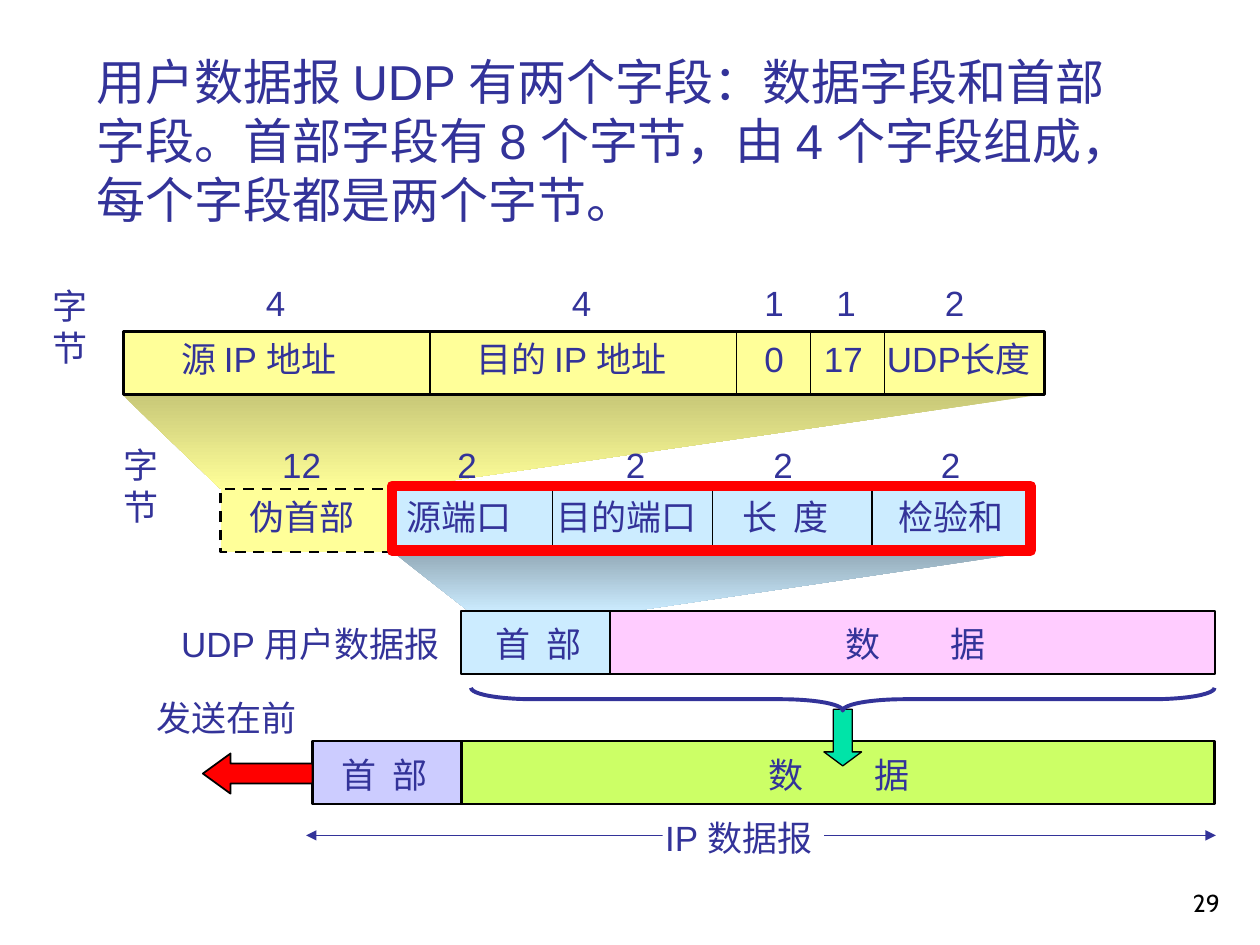
"""Build the slide on the UDP datagram, its header fields and its IP encapsulation."""
from dataclasses import dataclass

from lxml import etree
from pptx import Presentation
from pptx.dml.color import RGBColor
from pptx.enum import dml, shapes, text
from pptx.oxml import ns
from pptx.util import Cm, Pt


@dataclass(frozen=True)
class Theme:
    ink: str = "333399"
    outline: str = "000000"
    paper: str = "FFFFFF"
    pseudo: str = "FFFF99"
    pseudo_dark: str = "C8C878"
    header: str = "CCECFF"
    header_dark: str = "93AAB8"
    udp_data: str = "FFCCFF"
    ip_header: str = "CCCCFF"
    ip_data: str = "CCFF66"
    alert: str = "FF0000"
    down: str = "00E4A8"
    font: str = "Arial"
    number_font: str = "Cabin"
    title_size: int = 28
    label_size: int = 20
    number_size: int = 14


theme = Theme()


def paint(shape, fill=None, line=None, width=1.0):
    shape.shadow.inherit = False
    if fill:
        shape.fill.solid()
        shape.fill.fore_color.rgb = RGBColor.from_string(fill)
    else:
        shape.fill.background()
    if line:
        shape.line.color.rgb = RGBColor.from_string(line)
        shape.line.width = Pt(width)
    else:
        shape.line.fill.background()


def write(frame, words, size, color=theme.ink, font=theme.font, tab=None):
    frame.text = words
    paragraph = frame.paragraphs[0]
    if tab:
        properties = paragraph._p.get_or_add_pPr()
        tabs = etree.SubElement(properties, ns.qn("a:tabLst"))
        etree.SubElement(tabs, ns.qn("a:tab"), pos=str(Cm(tab)), algn="l")
    for run in paragraph.runs:
        run.font.size = Pt(size)
        run.font.name = font
        run.font.color.rgb = RGBColor.from_string(color)
    return paragraph


prs = Presentation()
prs.slide_width, prs.slide_height = Cm(25.4), Cm(19.05)
slide = prs.slides.add_slide(prs.slide_layouts[5])
canvas = slide.shapes

title = canvas.title
title.left, title.top, title.width, title.height = Cm(1.7), Cm(0.91), Cm(21.67), Cm(3.81)
title.text_frame.word_wrap = True
title.text_frame.auto_size = text.MSO_AUTO_SIZE.NONE
title.text_frame.vertical_anchor = text.MSO_ANCHOR.TOP
heading = write(
    title.text_frame,
    "用户数据报 UDP 有两个字段：数据字段和首部字段。首部字段有 8 个字节，由 4 个字段组成，每个字段都是两个字节。",
    theme.title_size,
)
heading.alignment = text.PP_ALIGN.LEFT

row_height = 1.27
pseudo_left, pseudo_top, pseudo_widths = 2.49, 6.68, [6.18, 6.18, 1.49, 1.49, 3.23]
fields_left, fields_top, field_width = 7.92, 9.86, 3.22
fields_bottom = fields_top + row_height
udp_top, ip_top, right_edge = 12.32, 14.94, 24.49

fans = [
    ([(2.46, 7.95), (21.03, 7.95), (7.92, 9.86), (4.45, 9.86)],
     theme.pseudo_dark, theme.pseudo),
    ([(7.92, 11.13), (20.78, 11.13), (12.62, 12.34), (9.45, 12.32)],
     theme.header_dark, theme.header),
]
for corners, dark, light in fans:
    points = [(Cm(x), Cm(y)) for x, y in corners]
    outline = canvas.build_freeform(*points[0])
    outline.add_line_segments(points[1:], close=True)
    fan = outline.convert_to_shape()
    paint(fan)
    fan.fill.gradient()
    fan.fill.gradient_angle = 270
    for stop, color in zip(fan.fill.gradient_stops, (dark, light)):
        stop.color.rgb = RGBColor.from_string(color)

outline = canvas.build_freeform(Cm(fields_left), Cm(fields_bottom))
outline.add_line_segments(
    [(Cm(4.45), Cm(fields_bottom)), (Cm(4.45), Cm(fields_top)), (Cm(fields_left), Cm(fields_top))],
    close=False,
)
pseudo_header = outline.convert_to_shape()
paint(pseudo_header, theme.pseudo, theme.outline, 1.5)
pseudo_header.line.dash_style = dml.MSO_LINE.DASH

bars = [
    (6.3, ip_top, 3, theme.ip_header, 1.5),
    (9.3, ip_top, right_edge - 9.3, theme.ip_data, 1.5),
    (9.3, udp_top, 3, theme.header, 1),
    (12.3, udp_top, right_edge - 12.3, theme.udp_data, 1),
    (fields_left, fields_top, 4 * field_width, theme.header, 1.5),
    (pseudo_left, pseudo_top, sum(pseudo_widths), theme.pseudo, 1.5),
]
for left, top, width, fill, weight in bars:
    bar = canvas.add_shape(
        shapes.MSO_SHAPE.RECTANGLE, Cm(left), Cm(top), Cm(width), Cm(row_height))
    paint(bar, fill, theme.outline, weight)

pseudo_cuts = [pseudo_left + sum(pseudo_widths[:n]) for n in range(1, 5)]
field_cuts = [fields_left + n * field_width for n in range(1, 4)]
rules = [(x, pseudo_top, x, pseudo_top + row_height, theme.outline) for x in pseudo_cuts]
rules += [(x, fields_top, x, fields_bottom, theme.outline) for x in field_cuts]
rules.append((6.17, 16.84, 24.51, 16.84, theme.ink))
for x1, y1, x2, y2, color in rules:
    rule = canvas.add_connector(
        shapes.MSO_CONNECTOR.STRAIGHT, Cm(x1), Cm(y1), Cm(x2), Cm(y2))
    rule.line.color.rgb = RGBColor.from_string(color)
    rule.line.width = Pt(0.75)
    if y1 == y2:
        for end in ("a:headEnd", "a:tailEnd"):
            etree.SubElement(rule.line._get_or_add_ln(), ns.qn(end), type="triangle")
    etree.SubElement(rule._element.spPr, ns.qn("a:effectLst"))

gap = canvas.add_shape(shapes.MSO_SHAPE.RECTANGLE, Cm(13.36), Cm(16.41), Cm(3.25), Cm(0.81))
paint(gap, theme.paper)

label_rows = [
    (5.61, [("字节", 0.81, 1.9)]),
    (5.56, [("4", 5.11, 0.89), ("4", 11.28, 0.89), ("1", 15.16, 0.89),
            ("1", 16.61, 0.89), ("2", 18.8, 0.89)]),
    (6.68, [("源 IP 地址", 3.4, 3.99), ("目的 IP 地址", 9.35, 4.7), ("0", 15.16, 0.89),
            ("17", 16.36, 1.3), ("UDP长度", 17.63, 3.58)]),
    (8.81, [("字节", 2.24, 1.9), ("12", 5.44, 1.3), ("2", 8.97, 0.89),
            ("2", 12.37, 0.89), ("2", 15.34, 0.89), ("2", 18.72, 0.89)]),
    (9.86, [("伪首部", 4.78, 2.62), ("源端口", 7.95, 2.62), ("目的端口", 10.97, 3.33),
            ("长\t度", 14.71, 2.24, 1.03), ("检验和", 17.86, 2.62)]),
    (12.42, [("UDP 用户数据报", 3.4, 5.89), ("首\t部", 9.73, 2.24, 1.03),
             ("数\t据", 16.79, 3.35, 2.13)]),
    (13.92, [("发送在前", 2.9, 3.33)]),
    (15.06, [("首\t部", 6.63, 2.24, 1.03), ("数\t据", 15.24, 3.35, 2.13)]),
    (16.33, [("IP 数据报", 13.16, 3.66)]),
]
for top, labels in label_rows:
    for words, left, width, *tab in labels:
        label = canvas.add_textbox(Cm(left), Cm(top), Cm(width), Cm(1.12))
        label.text_frame.word_wrap = False
        write(label.text_frame, words, theme.label_size, tab=tab[0] if tab else None)

send_arrow = canvas.add_shape(
    shapes.MSO_SHAPE.LEFT_ARROW, Cm(4.09), Cm(15.19), Cm(2.21), Cm(0.81))
send_arrow.adjustments[1] = 0.69
paint(send_arrow, theme.alert, theme.outline, 1)

wrap_arrow = canvas.add_shape(
    shapes.MSO_SHAPE.DOWN_ARROW, Cm(16.61), Cm(14.3), Cm(0.76), Cm(1.14))
wrap_arrow.adjustments[1] = 0.37
paint(wrap_arrow, theme.down, theme.outline, 0.75)

brace = canvas.add_shape(shapes.MSO_SHAPE.LEFT_BRACE, Cm(16.76), Cm(6.6), Cm(0.46), Cm(14.99))
brace.rotation = 270
brace.adjustments[0] = 2.7
paint(brace, line=theme.ink, width=2.25)

header_frame = canvas.add_shape(
    shapes.MSO_SHAPE.RECTANGLE, Cm(7.9), Cm(9.8), Cm(12.88), Cm(1.3))
paint(header_frame, line=theme.alert, width=6)

page_number = canvas.add_textbox(Cm(19.56), Cm(17.35), Cm(5.28), Cm(1.27))
page_number.text_frame.word_wrap = True
page_number.text_frame.vertical_anchor = text.MSO_ANCHOR.BOTTOM
number = write(
    page_number.text_frame, "29", theme.number_size, theme.outline, theme.number_font)
number.alignment = text.PP_ALIGN.RIGHT

prs.save("out.pptx")
